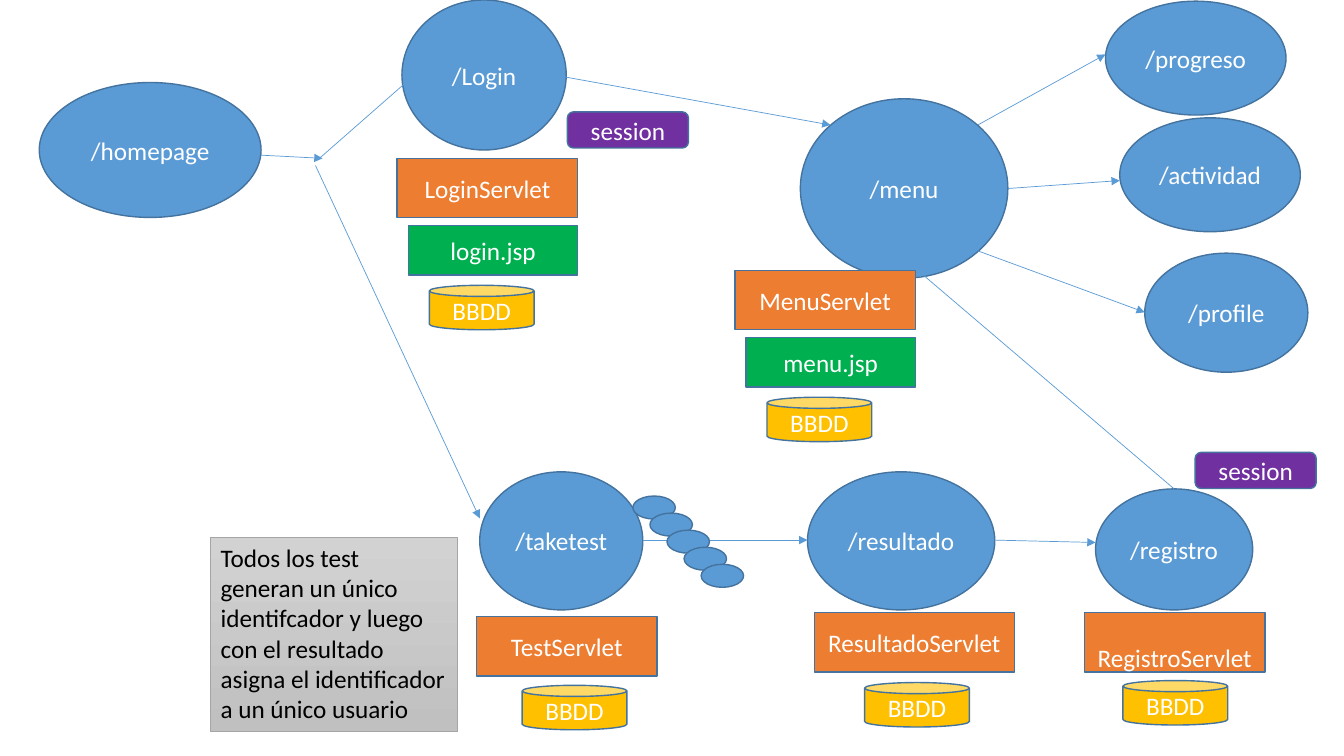
"""Build the navigation map of a web application with its servlets."""
from lxml import etree
from pptx import Presentation
from pptx.dml.color import RGBColor
from pptx.enum.shapes import MSO_CONNECTOR, MSO_SHAPE
from pptx.enum.text import MSO_ANCHOR, PP_ALIGN
from pptx.oxml.ns import qn
from pptx.util import Cm, Pt

ELLIPSE = MSO_SHAPE.OVAL
RECTANGLE = MSO_SHAPE.RECTANGLE
ROUNDED = MSO_SHAPE.ROUNDED_RECTANGLE
CAN = MSO_SHAPE.CAN
STRAIGHT = MSO_CONNECTOR.STRAIGHT
TOP, MIDDLE, BOTTOM = MSO_ANCHOR.TOP, MSO_ANCHOR.MIDDLE, MSO_ANCHOR.BOTTOM
LEFT, CENTER = PP_ALIGN.LEFT, PP_ALIGN.CENTER

BLUE, OUTLINE, ORANGE = "5B9BD5", "43739E", "ED7D31"
GREEN, YELLOW, PURPLE = "00B050", "FFC000", "7030A0"
WHITE, BLACK, GRAY = "FFFFFF", "000000", "A5A5A5"
NOTE_TOP, NOTE_BOTTOM = "D2D2D2", "C0C0C0"

PAGES = [
    ("/homepage", 0.99, 2.08, 5.59, 3.4),
    ("/Login", 10.13, 0, 4.14, 3.78),
    ("/taketest", 12.09, 11.89, 4.11, 3.48),
    ("/resultado", 20.35, 11.89, 4.72, 3.48),
    ("/registro", 27.61, 12.32, 3.96, 3.05),
    ("/menu", 20.17, 2.49, 5.23, 4.52),
    ("/progreso", 27.86, 0.03, 4.55, 2.87),
    ("/actividad", 28.22, 2.97, 4.55, 2.87),
    ("/profile", 28.85, 6.38, 4.11, 3),
]
ARROWS = [
    (6.58, 3.91, 8.13, 3.99),
    (8.05, 3.99, 10.49, 1.85),
    (7.95, 4.17, 12.09, 13.06),
    (13.08, 1.73, 20.93, 3.15),
    (16.2, 13.61, 20.35, 13.61),
    (25.07, 13.61, 27.61, 13.67),
    (29.59, 12.32, 23.09, 6.78),
    (24.64, 3.15, 27.86, 1.37),
    (25.4, 4.75, 28.22, 4.55),
    (24.64, 6.32, 28.85, 7.87),
]
JSP_STACKS = [("LoginServlet", "login.jsp", 10.01, 3.99),
              ("MenuServlet", "menu.jsp", 18.52, 6.81)]
DATABASES = [(13.16, 17.27), (21.79, 17.2), (28.3, 17.15)]
SESSIONS = [(14.3, 2.82), (30.12, 11.4)]
NOTE = ("Todos los test generan un único identifcador y luego con el "
        "resultado asigna el identificador a un único usuario")


def rgb(value):
    """Turn a hex string into a colour."""
    return RGBColor.from_string(value)


def write_text(shape, text, size=18, color=WHITE, align=CENTER, anchor=MIDDLE):
    """Write one formatted paragraph into a shape."""
    frame = shape.text_frame
    frame.word_wrap = True
    frame.vertical_anchor = anchor
    paragraph = frame.paragraphs[0]
    paragraph.alignment = align
    run = paragraph.add_run()
    run.text = text
    run.font.name = "Calibri"
    run.font.size = Pt(size)
    run.font.color.rgb = rgb(color)


def add_box(slide, kind, left, top, width, height, fill, text="", **text_format):
    """Add an outlined preset shape with an optional label."""
    shape = slide.shapes.add_shape(kind, Cm(left), Cm(top), Cm(width), Cm(height))
    shape.shadow.inherit = False
    shape.fill.solid()
    shape.fill.fore_color.rgb = rgb(fill)
    shape.line.color.rgb = rgb(OUTLINE)
    shape.line.width = Pt(1)
    if text:
        write_text(shape, text, **text_format)
    return shape


def add_arrow(slide, *ends):
    """Add a thin arrow between two points."""
    arrow = slide.shapes.add_connector(STRAIGHT, *(Cm(end) for end in ends))
    arrow.line.color.rgb = rgb(BLUE)
    arrow.line.width = Pt(0.5)
    head = etree.SubElement(arrow.line._get_or_add_ln(), qn("a:tailEnd"))
    head.set("type", "triangle")
    etree.SubElement(arrow._element.spPr, qn("a:effectLst"))


def add_servlet(slide, name, left, top, width=4.55, **text_format):
    """Add a servlet box."""
    return add_box(slide, RECTANGLE, left, top, width, 1.5, ORANGE, name, **text_format)


def add_database(slide, left, top):
    """Add a database cylinder."""
    add_box(slide, CAN, left, top, 2.64, 1.12, YELLOW, "BBDD")


def add_jsp_stack(slide, servlet, view, left, top):
    """Add a servlet with its view and its database below."""
    add_servlet(slide, servlet, left, top)
    add_box(slide, RECTANGLE, left + 0.28, top + 1.7, 4.27, 1.24, GREEN, view)
    add_database(slide, left + 0.81, top + 3.2)


def add_note(slide):
    """Add the gray gradient note about the tests."""
    note = add_box(slide, RECTANGLE, 5.31, 13.54, 6.22, 4.88, NOTE_TOP, NOTE,
                   color=BLACK, align=LEFT, anchor=TOP)
    note.fill.gradient()
    note.fill.gradient_angle = 270
    for stop, color in zip(note.fill.gradient_stops, (NOTE_TOP, NOTE_BOTTOM)):
        stop.color.rgb = rgb(color)
    note.line.color.rgb = rgb(GRAY)
    note.line.width = Pt(0.5)


def main():
    """Build and save the slide."""
    presentation = Presentation()
    presentation.slide_width = Cm(33.87)
    presentation.slide_height = Cm(19.05)
    slide = presentation.slides.add_slide(presentation.slide_layouts[6])

    for name, *place in PAGES:
        add_box(slide, ELLIPSE, *place, BLUE, name)
    for ends in ARROWS:
        add_arrow(slide, *ends)
    for index in range(5):
        shift = 0.43 * index
        add_box(slide, ELLIPSE, 15.95 + shift, 12.5 + shift, 1.07, 0.58, BLUE)
    for stack in JSP_STACKS:
        add_jsp_stack(slide, *stack)
    add_servlet(slide, "TestServlet", 12.01, 15.54)
    add_servlet(slide, "ResultadoServlet", 20.52, 15.44, width=5.05)
    registro = add_servlet(slide, "RegistroServlet", 27.33, 15.44, anchor=BOTTOM)
    registro.text_frame.margin_bottom = 0
    for place in DATABASES:
        add_database(slide, *place)
    for left, top in SESSIONS:
        add_box(slide, ROUNDED, left, top, 3.05, 0.91, PURPLE, "session")
    add_note(slide)

    presentation.save("out.pptx")


if __name__ == "__main__":
    main()
